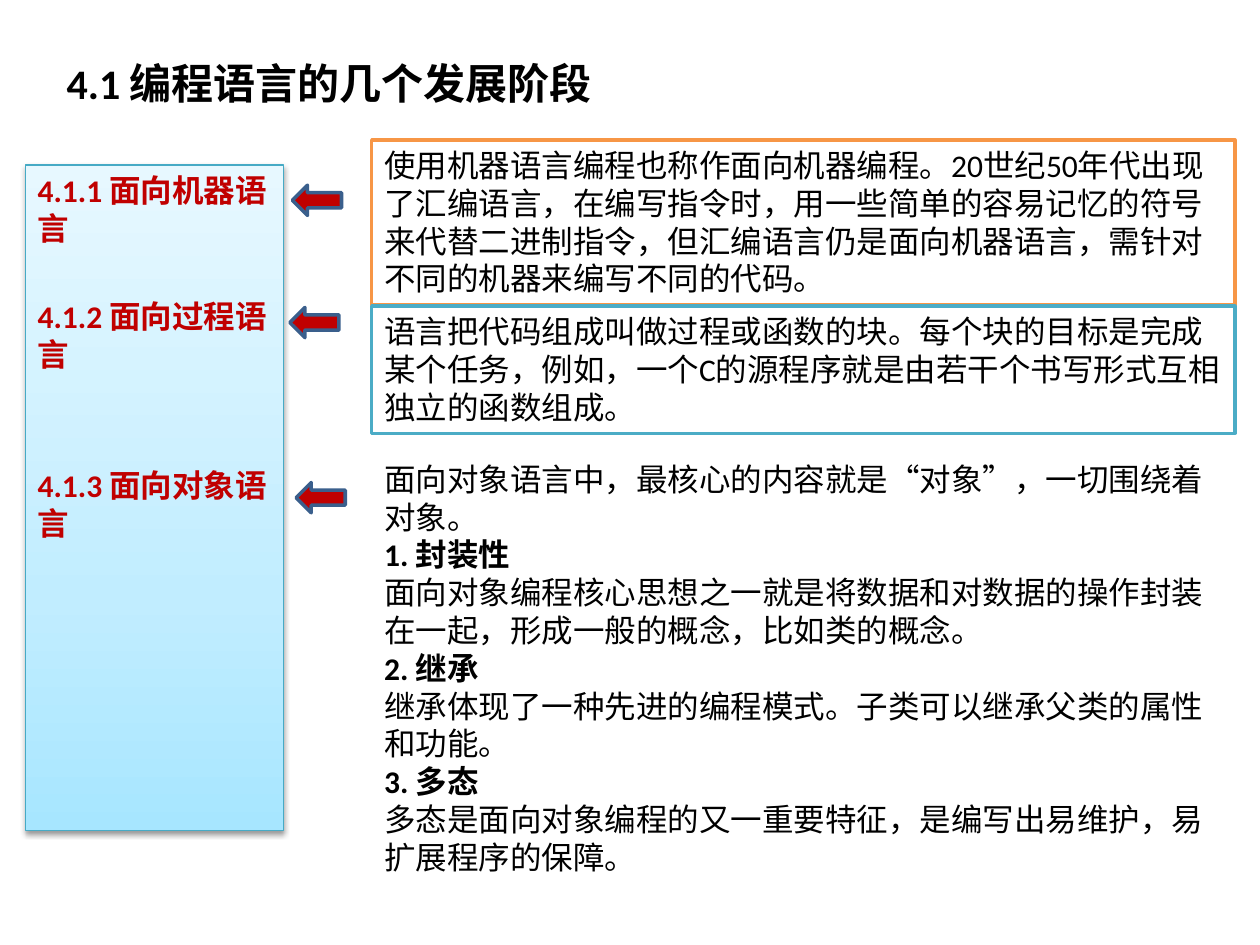
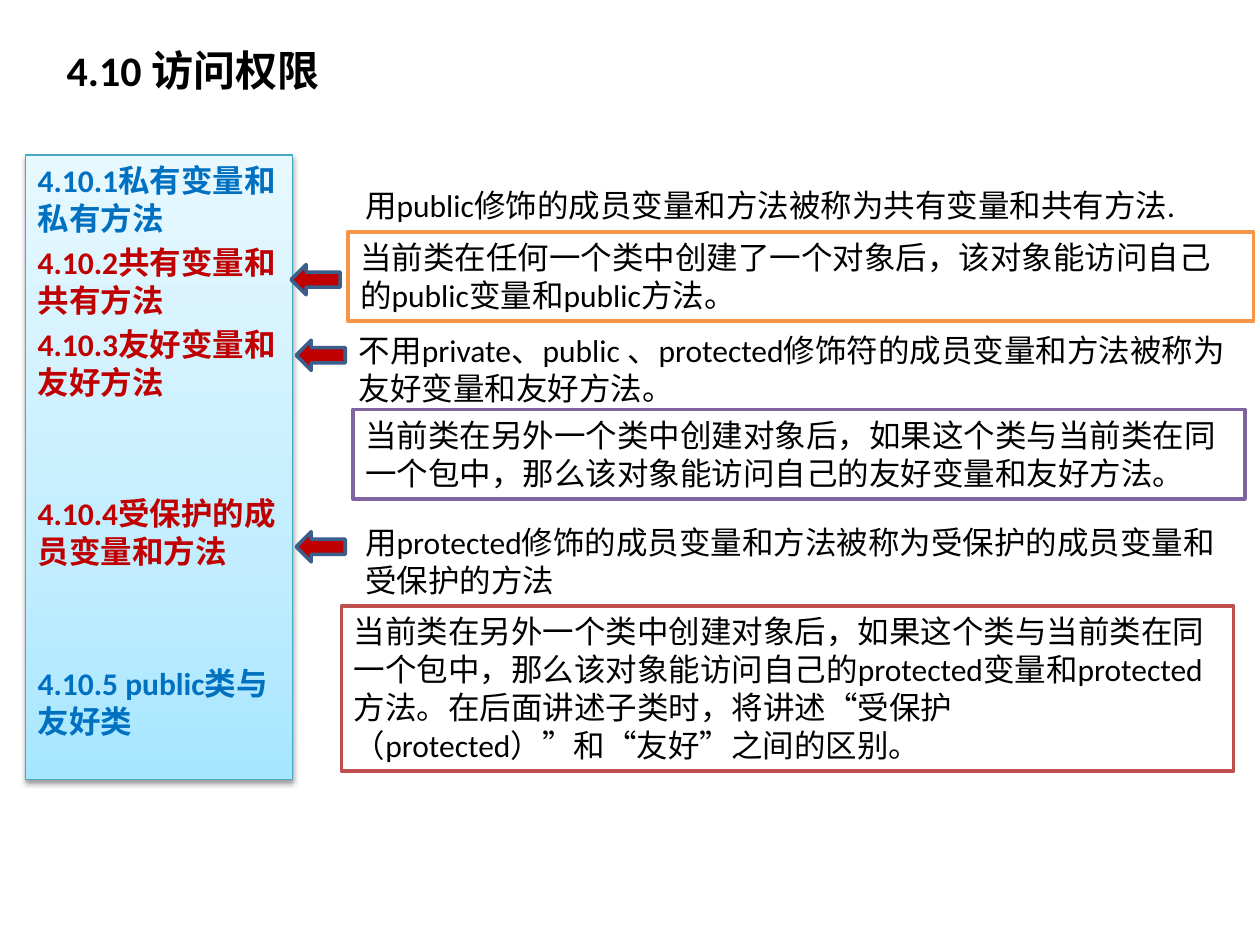
from copy import deepcopy
from dataclasses import dataclass

from lxml.etree import SubElement
from pptx import Presentation
from pptx.dml.color import RGBColor
from pptx.enum.lang import MSO_LANGUAGE_ID as Language
from pptx.enum.shapes import MSO_SHAPE as Shape
from pptx.enum.text import MSO_ANCHOR as Anchor, PP_ALIGN as Align
from pptx.oxml.ns import qn
from pptx.util import Inches, Pt


@dataclass(frozen=True)
class Theme:
    font: str = "Calibri"
    title_size: int = 24
    text_size: int = 18
    topic_space: float = 3.6
    topic_step: float = 25
    frame_width: float = 2
    sidebar_width: float = 0.75
    black: str = "000000"
    white: str = "FFFFFF"
    red: str = "C00000"
    blue: str = "0070C0"
    arrow_edge: str = "3A5F8C"
    sidebar_edge: str = "46AAC5"
    sidebar_stops: tuple = ((0, "A7E6FF"), (0.35, "C1EDFF"), (1, "E7F8FF"))
    orange: str = "F79646"
    teal: str = "4BACC6"
    purple: str = "8064A2"
    brick: str = "C0504D"


THEME = Theme()
MARGIN = 0.2
TITLE_LEFT, TITLE_TOP = 0.43, 0.02
ARROW_SIZE = (0.39, 0.24)

# topics: text, colour, empty steps above; notes: place, frame colour, paragraphs
SLIDES = [
    {
        "title": ("4.1 编程语言的几个发展阶段", 5.95, 1.27),
        "sidebar": (1.31, 2.05, 5.28),
        "topics": [
            ("4.1.1 面向机器语言", THEME.red, 0),
            ("4.1.2 面向过程语言", THEME.red, 1),
            ("4.1.3 面向对象语言", THEME.red, 2),
        ],
        "arrows": [(2.32, 1.47), (2.3, 2.44), (2.35, 3.83)],
        "notes": [
            ((2.95, 1.11, 6.85, 1.31), THEME.orange, [
                "使用机器语言编程也称作面向机器编程。20世纪50年代出现了汇编语言，在编写指令时，用一些简单的容易记忆的符号来代替二进制指令，但汇编语言仍是面向机器语言，需针对不同的机器来编写不同的代码。"]),
            ((2.95, 2.43, 6.85, 1.01), THEME.teal, [
                "语言把代码组成叫做过程或函数的块。每个块的目标是完成某个任务，例如，一个C的源程序就是由若干个书写形式互相独立的函数组成。"]),
            ((2.95, 3.6, 6.85, 3.43), None, [
                "面向对象语言中，最核心的内容就是“对象”，一切围绕着对象。",
                "1. 封装性",
                "面向对象编程核心思想之一就是将数据和对数据的操作封装在一起，形成一般的概念，比如类的概念。",
                "2. 继承",
                "继承体现了一种先进的编程模式。子类可以继承父类的属性和功能。",
                "3. 多态",
                "多态是面向对象编程的又一重要特征，是编写出易维护，易扩展程序的保障。"]),
        ],
    },
    {
        "title": ("4.10 访问权限", 3.24, 1.07),
        "sidebar": (1.23, 2.12, 4.96),
        "topics": [
            ("4.10.1私有变量和私有方法", THEME.blue, 0),
            ("4.10.2共有变量和共有方法", THEME.red, 0),
            ("4.10.3友好变量和友好方法", THEME.red, 0),
            ("4.10.4受保护的成员变量和方法", THEME.red, 2),
            ("4.10.5 public类与友好类", THEME.blue, 2),
        ],
        "arrows": [(2.31, 2.1), (2.35, 2.7), (2.35, 4.22)],
        "notes": [
            ((2.8, 1.43, 7.2, 0.4), None, [
                "用public修饰的成员变量和方法被称为共有变量和共有方法."]),
            ((2.76, 1.84, 7.19, 0.71), THEME.orange, [
                "当前类在任何一个类中创建了一个对象后，该对象能访问自己的public变量和public方法。"]),
            ((2.75, 2.58, 7.13, 0.71), None, [
                "不用private、public 、protected修饰符的成员变量和方法被称为友好变量和友好方法。"]),
            ((2.8, 3.25, 7.08, 0.71), THEME.purple, [
                "当前类在另外一个类中创建对象后，如果这个类与当前类在同一个包中，那么该对象能访问自己的友好变量和友好方法。"]),
            ((2.8, 4.1, 7.08, 0.71), None, [
                "用protected修饰的成员变量和方法被称为受保护的成员变量和受保护的方法"]),
            ((2.71, 4.81, 7.08, 1.31), THEME.brick, [
                "当前类在另外一个类中创建对象后，如果这个类与当前类在同一个包中，那么该对象能访问自己的protected变量和protected方法。在后面讲述子类时，将讲述“受保护（protected）”和“友好”之间的区别。"]),
        ],
    },
]


def rgb(value):
    return RGBColor.from_string(value)


def add_block(page, preset, place, fill, edge, edge_width):
    block = page.shapes.add_shape(preset, *map(Inches, place))
    block.shadow.inherit = False
    if fill:
        block.fill.solid()
        block.fill.fore_color.rgb = rgb(fill)
    block.line.color.rgb = rgb(edge)
    block.line.width = Pt(edge_width)
    return block


def write(box, lines, anchor=Anchor.TOP):
    frame = box.text_frame
    frame.word_wrap = True
    frame.vertical_anchor = anchor
    frame.text = "\n".join(text for text, *_ in lines)
    for para, (_, size, color, bold, space) in zip(frame.paragraphs, lines):
        para.alignment = Align.LEFT
        if space:
            para.space_before = Pt(space)
        for span in para.runs:
            font = span.font
            font.name = THEME.font
            font.size = Pt(size)
            font.bold = bold
            font.color.rgb = rgb(color)
            font.language_id = Language.SIMPLIFIED_CHINESE


def add_title(page, text, width, height):
    box = page.shapes.add_textbox(*map(Inches, (TITLE_LEFT, TITLE_TOP, width, height)))
    write(box, [(text, THEME.title_size, THEME.black, True, 0)], Anchor.MIDDLE)


def shade_sidebar(sidebar):
    sidebar.fill.gradient()
    sidebar.fill.gradient_angle = 90
    stop_list = sidebar._element.spPr.find(qn("a:gradFill")).find(qn("a:gsLst"))
    stop_list.append(deepcopy(stop_list[-1]))
    for stop, (position, color) in zip(sidebar.fill.gradient_stops, THEME.sidebar_stops):
        stop.position = position
        stop.color.rgb = rgb(color)

    effects = sidebar._element.spPr.find(qn("a:effectLst"))
    shadow = SubElement(effects, qn("a:outerShdw"), blurRad=str(Pt(3.1)),
                        dist=str(Pt(1.6)), dir="5400000", rotWithShape="0")
    tint = SubElement(shadow, qn("a:srgbClr"), val=THEME.black)
    SubElement(tint, qn("a:alpha"), val="38000")


def add_sidebar(page, top, width, height, topics):
    sidebar = add_block(page, Shape.RECTANGLE, (MARGIN, top, width, height),
                        None, THEME.sidebar_edge, THEME.sidebar_width)
    shade_sidebar(sidebar)
    lines = []
    for index, (text, color, steps) in enumerate(topics):
        space = THEME.topic_space + steps * THEME.topic_step if index else 0
        lines.append((text, THEME.text_size, color, True, space))
    write(sidebar, lines)


def add_note(page, place, edge, texts):
    if edge:
        box = add_block(page, Shape.RECTANGLE, place, THEME.white, edge, THEME.frame_width)
    else:
        box = page.shapes.add_textbox(*map(Inches, place))
    write(box, [(text, THEME.text_size, THEME.black, text[0].isdigit(), 0) for text in texts])


def main():
    deck = Presentation()
    deck.slide_width, deck.slide_height = Inches(10), Inches(7.5)
    blank = deck.slide_layouts[6]
    for content in SLIDES:
        page = deck.slides.add_slide(blank)
        add_title(page, *content["title"])
        add_sidebar(page, *content["sidebar"], content["topics"])
        for note in content["notes"]:
            add_note(page, *note)
        for spot in content["arrows"]:
            add_block(page, Shape.LEFT_ARROW, spot + ARROW_SIZE,
                      THEME.red, THEME.arrow_edge, THEME.frame_width)
    deck.save("out.pptx")


if __name__ == "__main__":
    main()
